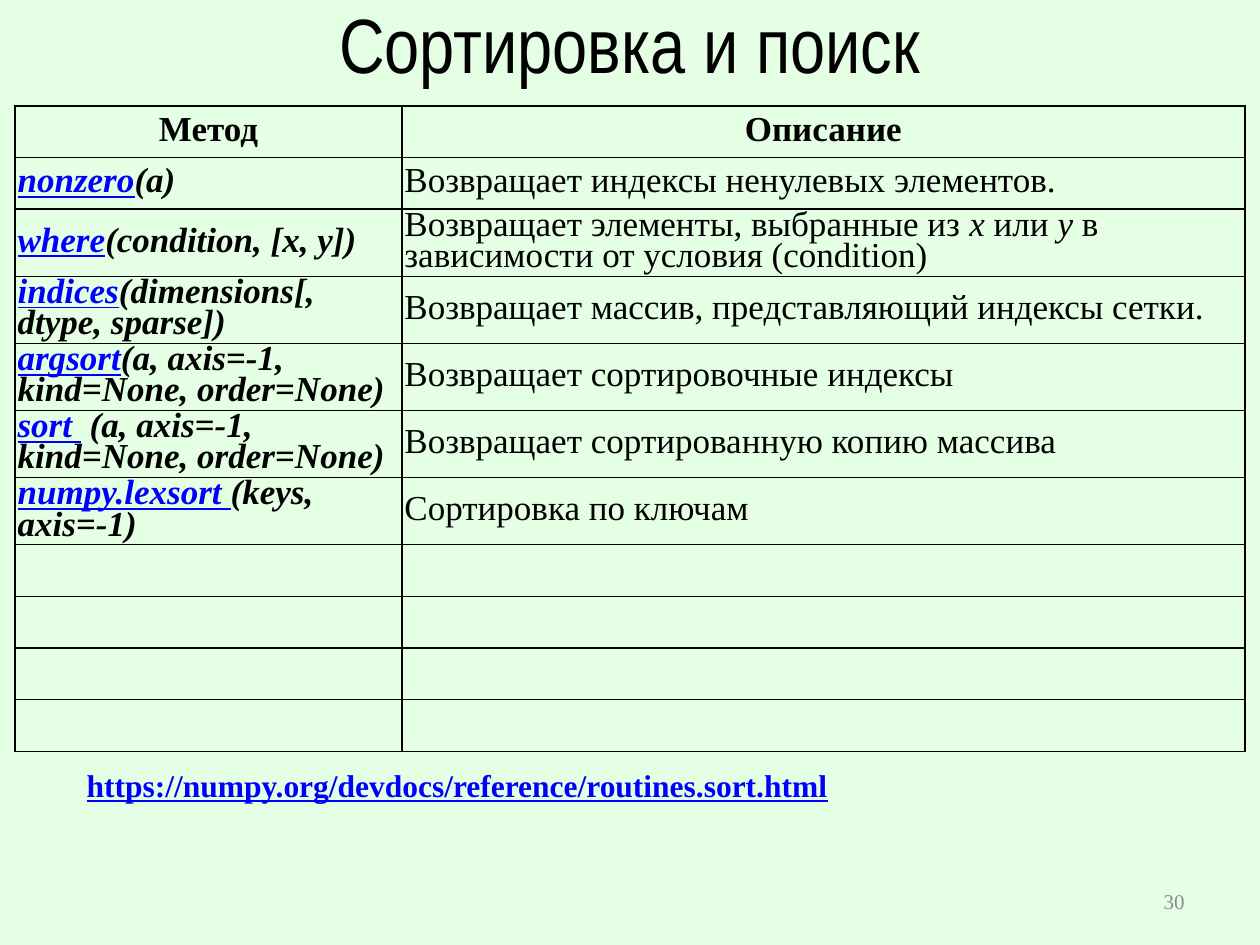
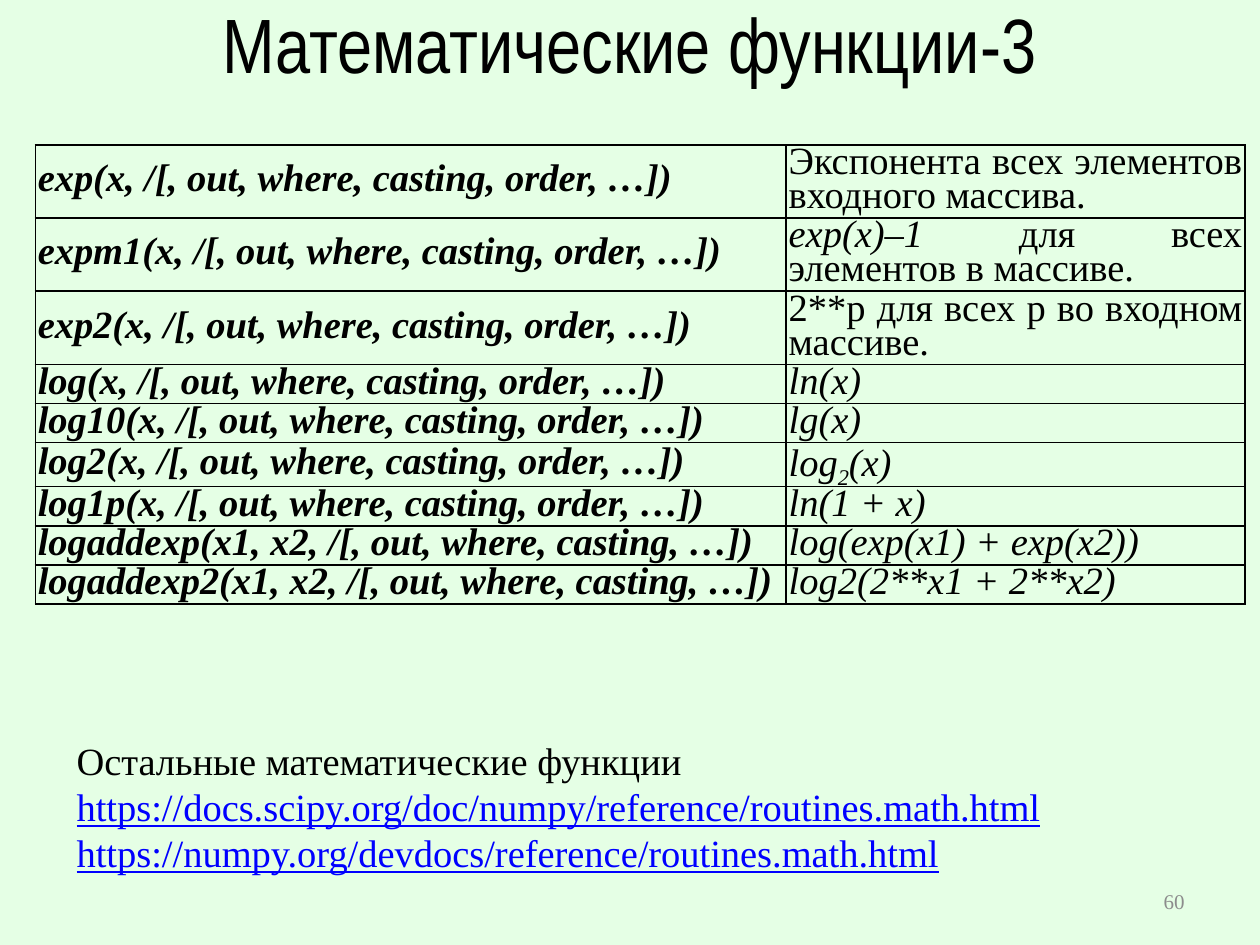
"""Build two slides with tables of array methods and math functions."""
from dataclasses import dataclass
from lxml import etree
from pptx import Presentation
from pptx import util as u
from pptx.dml import color
from pptx.enum import text
from pptx.oxml import ns

ALIGN = text.PP_ALIGN


@dataclass(frozen=True)
class Theme:
    back: str = "E5FFE5"
    ink: str = "000000"
    link: str = "0000FF"
    mute: str = "8C8C8C"
    head: str = "Arial Narrow"
    body: str = "Times New Roman"
    title: int = 44
    grid: int = 20
    large: int = 22
    small: int = 18
    page: int = 12
    rule: int = 1
    pad: float = 0.02
    lead: float = 0.8


@dataclass(frozen=True)
class Bit:
    text: str
    bold: bool = False
    slant: bool = False
    link: bool = False
    base: int = 0


@dataclass(frozen=True)
class Box:
    left: float
    top: float
    width: float
    height: float

    def sides(self) -> list[u.Length]:
        return [u.Inches(v) for v in (self.left, self.top, self.width, self.height)]


Line = list[Bit]
Cell = list[Line]


@dataclass(frozen=True)
class Grid:
    left: float
    top: float
    cols: list[float]
    rows: list[float]
    cells: list[list[Cell]]
    size: int
    align: ALIGN
    header: bool = False


@dataclass(frozen=True)
class Page:
    title: str
    place: Box
    number: str
    grid: Grid
    note: Cell
    spot: Box
    size: int


T = Theme()


def plain(words: str) -> Cell:
    return [[Bit(words)]]


def slant(words: str) -> Cell:
    return [[Bit(words, slant=True)]]


def call(words: str) -> Cell:
    return [[Bit(words, bold=True, slant=True)]]


def linked(name: str, args: str, *more: str) -> Cell:
    first = [Bit(name, bold=True, slant=True, link=True), *call(args)[0]]
    return [first, *(call(words)[0] for words in more)]


def math(name: str, args: str = "x", last: str = "order") -> Cell:
    tail = "casting, order" if last == "order" else last
    return call(f"{name}({args}, /[, out, where, {tail}, …])")


def put(frame, lines: Cell, size: int, align: ALIGN = ALIGN.LEFT,
        face: str = T.body, ink: str = T.ink, lead: float | None = None) -> None:
    for i, line in enumerate(lines):
        para = frame.add_paragraph() if i else frame.paragraphs[0]
        para.alignment = align
        if lead:
            para.line_spacing = lead
        for bit in line:
            run = para.add_run()
            run.text = bit.text
            font = run.font
            font.name, font.size = face, u.Pt(size)
            font.bold, font.italic, font.underline = bit.bold, bit.slant, bit.link
            font.color.rgb = color.RGBColor.from_string(T.link if bit.link else ink)
            if bit.base:
                run._r.get_or_add_rPr().set("baseline", str(bit.base * 1000))


def border(cell) -> None:
    props = cell._tc.get_or_add_tcPr()
    for side in ("lnL", "lnR", "lnT", "lnB"):
        line = etree.SubElement(props, ns.qn(f"a:{side}"), w=str(u.Pt(T.rule)))
        fill = etree.SubElement(line, ns.qn("a:solidFill"))
        etree.SubElement(fill, ns.qn("a:srgbClr"), val=T.ink)


def draw_grid(slide, grid: Grid) -> None:
    box = Box(grid.left, grid.top, sum(grid.cols), sum(grid.rows))
    table = slide.shapes.add_table(len(grid.rows), len(grid.cols), *box.sides()).table
    table.first_row = table.horz_banding = False
    for col, width in zip(table.columns, grid.cols):
        col.width = u.Inches(width)
    for row, height in zip(table.rows, grid.rows):
        row.height = u.Inches(height)
    for cell in table.iter_cells():
        border(cell)
        cell.fill.background()
        cell.vertical_anchor = text.MSO_ANCHOR.MIDDLE
        cell.margin_left = cell.margin_right = u.Inches(T.pad)
        cell.margin_top = cell.margin_bottom = u.Inches(T.pad)
    for r, row in enumerate(grid.cells):
        align = ALIGN.CENTER if grid.header and r == 0 else grid.align
        for c, lines in enumerate(row):
            put(table.cell(r, c).text_frame, lines, grid.size, align, lead=T.lead)


def draw_text(slide, box: Box, lines: Cell, size: int, align: ALIGN = ALIGN.LEFT,
              ink: str = T.ink, anchor: text.MSO_ANCHOR = text.MSO_ANCHOR.TOP) -> None:
    frame = slide.shapes.add_textbox(*box.sides()).text_frame
    frame.word_wrap = True
    frame.vertical_anchor = anchor
    put(frame, lines, size, align, ink=ink)


def draw_page(deck, page: Page) -> None:
    slide = deck.slides.add_slide(deck.slide_layouts[5])
    title = slide.shapes.title
    title.left, title.top, title.width, title.height = page.place.sides()
    title.text_frame.vertical_anchor = text.MSO_ANCHOR.MIDDLE
    put(title.text_frame, plain(page.title), T.title, ALIGN.CENTER, T.head)
    draw_grid(slide, page.grid)
    draw_text(slide, page.spot, page.note, page.size)
    draw_text(slide, Box(7.17, 6.95, 2.33, 0.4), plain(page.number), T.page,
              ALIGN.RIGHT, T.mute, text.MSO_ANCHOR.MIDDLE)


SORTS = [
    [[[Bit("Метод", bold=True)]], [[Bit("Описание", bold=True)]]],
    [linked("nonzero", "(a)"), plain("Возвращает индексы ненулевых элементов.")],
    [linked("where", "(condition, [x, y])"),
     [[Bit("Возвращает элементы, выбранные из "), Bit("x", slant=True), Bit(" или "),
       Bit("y", slant=True), Bit(" в зависимости от условия (condition)")]]],
    [linked("indices", "(dimensions[, ", "dtype, sparse])"),
     plain("Возвращает массив, представляющий индексы сетки.")],
    [linked("argsort", "(a, axis=-1, kind=None, order=None)"),
     plain("Возвращает сортировочные индексы")],
    [linked("sort ", " (a, axis=-1, kind=None, order=None)"),
     plain("Возвращает сортированную копию массива")],
    [linked("numpy.lexsort ", "(keys, axis=-1)"), plain("Cортировка по ключам")],
]

MATHS = [
    [math("exp"), plain("Экспонента всех элементов входного массива.")],
    [math("expm1"),
     [[Bit("exp(x)–1 ", slant=True), Bit("для всех элементов в массиве.")]]],
    [math("exp2"), plain("2**p для всех p во входном массиве.")],
    [math("log"), slant("ln(x)")],
    [math("log10"), slant("lg(x)")],
    [math("log2"), [[Bit("log", slant=True), Bit("2", slant=True, base=-25),
                     Bit("(x)", slant=True)]]],
    [math("log1p"), slant("ln(1 + x)")],
    [math("logaddexp", "x1, x2", "casting"), slant("log(exp(x1) + exp(x2))")],
    [math("logaddexp2", "x1, x2", "casting"), slant("log2(2**x1 + 2**x2)")],
]

PAGES = [
    Page("Сортировка и поиск", Box(0, 0, 10, 0.68), "30",
         Grid(0.12, 0.84, [3.07, 6.69], [0.41] * 2 + [0.53] * 5 + [0.41] * 4,
              SORTS, T.grid, ALIGN.LEFT, header=True),
         [[Bit("https://numpy.org/devdocs/reference/routines.sort.html",
               bold=True, link=True)]],
         Box(0.59, 6.03, 7.64, 0.4), T.small),
    Page("Математические функции-3", Box(0.12, 0, 9.76, 0.68), "60",
         Grid(0.28, 1.15, [5.96, 3.64],
              [0.58] * 3 + [0.31] * 2 + [0.35] + [0.31] * 3,
              MATHS, T.large, ALIGN.JUSTIFY),
         [[Bit("Остальные математические функции "),
           Bit("https://docs.scipy.org/doc/numpy/reference/routines.math.html",
               link=True)],
          [Bit("https://numpy.org/devdocs/reference/routines.math.html", link=True)]],
         Box(0.51, 5.8, 9.37, 1.21), T.large),
]


def main() -> None:
    deck = Presentation()
    deck.slide_width, deck.slide_height = u.Inches(10), u.Inches(7.5)
    fill = deck.slide_master.background.fill
    fill.solid()
    fill.fore_color.rgb = color.RGBColor.from_string(T.back)
    for page in PAGES:
        draw_page(deck, page)
    deck.save("out.pptx")


if __name__ == "__main__":
    main()
